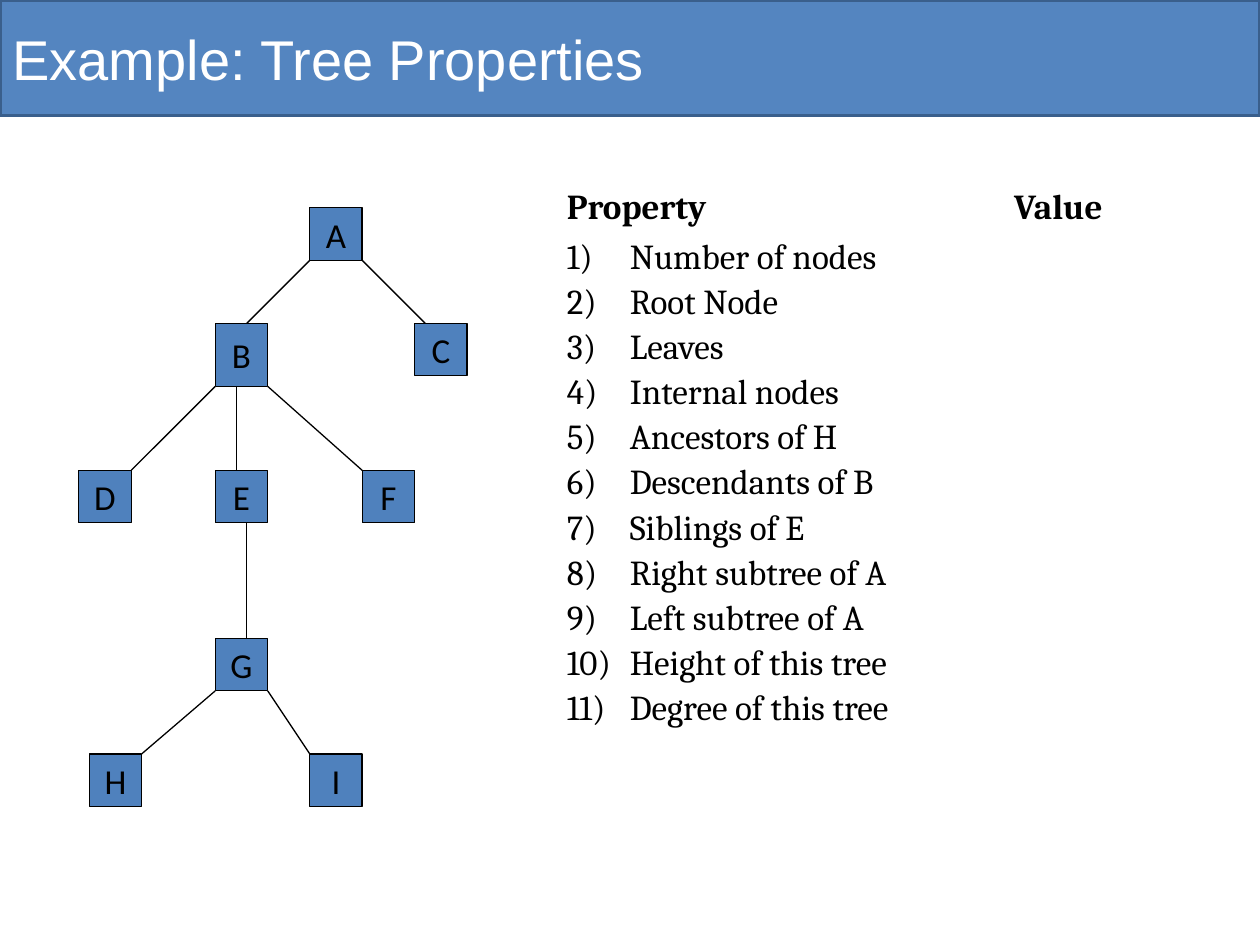
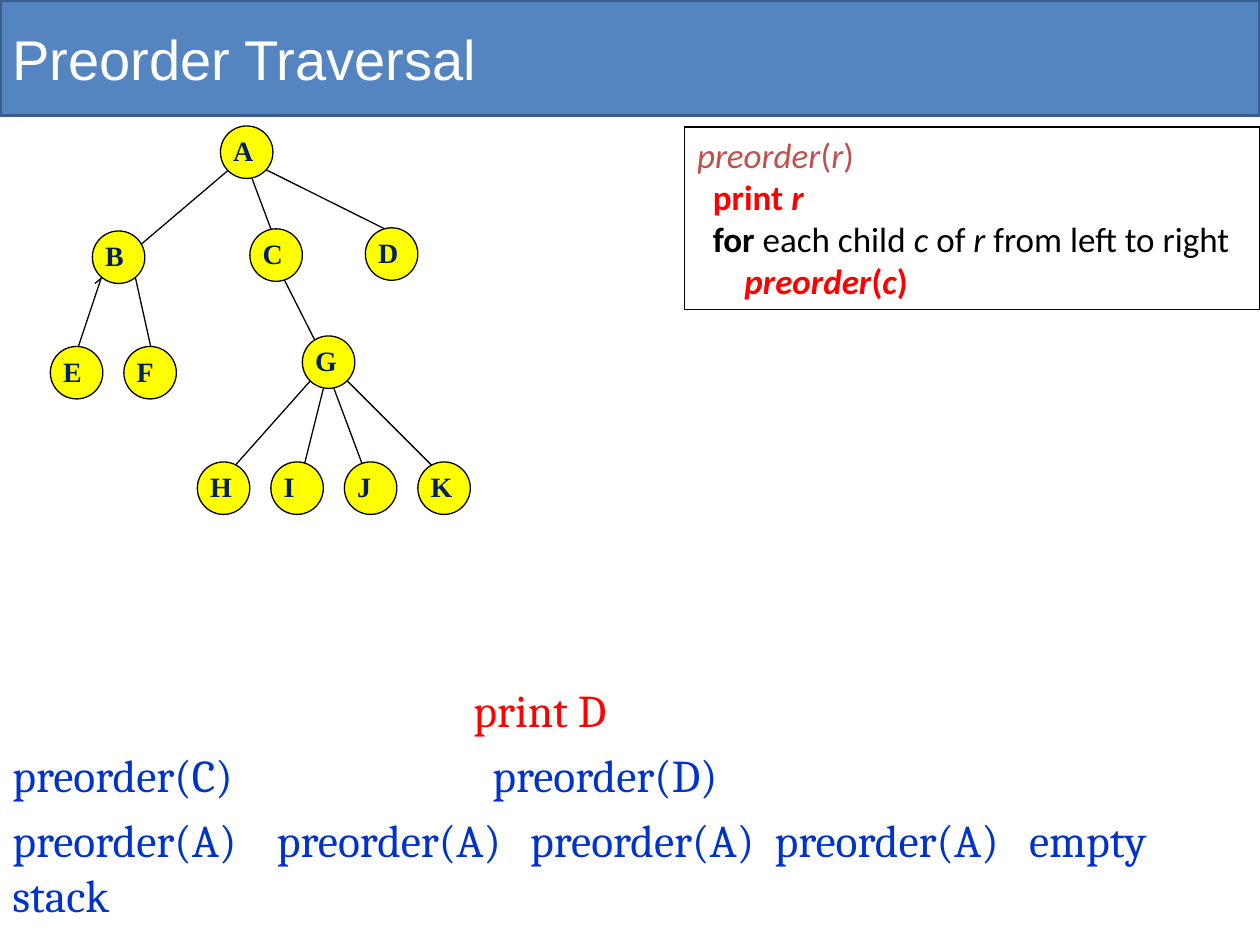
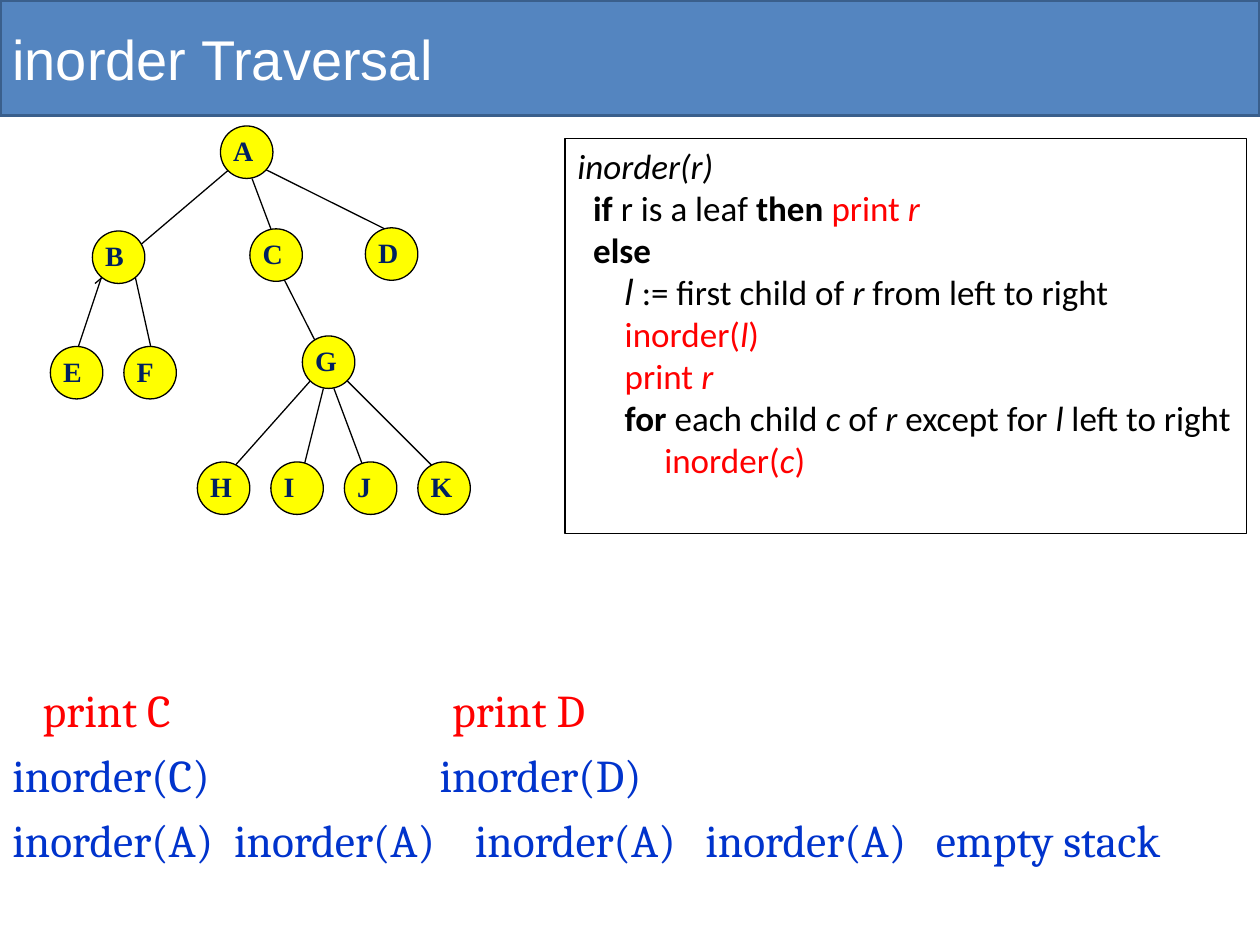
import pptx
import pptx.util
import pptx.dml.color
import pptx.enum.shapes
import pptx.enum.text
import pptx.oxml.ns
from lxml import etree

COLORS = {
    "band": "5485C0", "band edge": "3A5F8C", "white": "FFFFFF", "black": "000000",
    "square": "4F81BD", "circle": "FFFF00", "navy": "002060",
    "red": "FF0000", "brick": "C0504D", "blue": "0033CC",
}
CELL = pptx.util.Inches(1) // 12  # the slide is a grid of 120 by 90 cells
COLUMNS, ROWS = 120, 90
BAND_ROWS = 11
NODE = 5
SHAPE = pptx.enum.shapes.MSO_SHAPE
ANCHOR = pptx.enum.text.MSO_ANCHOR
ALIGN = pptx.enum.text.PP_ALIGN

# Node: column and row in the tree, then height where it differs from NODE.
PROPERTY_NODES = {
    "A": (22, 0), "B": (13, 11, 6), "C": (32, 11),
    "D": (0, 25), "E": (13, 25), "F": (27, 25),
    "G": (13, 41), "H": (1, 52), "I": (22, 52),
}
# Edge: parent, child, then the two ends as shares of each node's box.
PROPERTY_EDGES = [
    ("A", "C", (1, 1), (0.2, 0)), ("A", "B", (0, 1), (0.6, 0)),
    ("B", "E", (0.4, 1), (0.4, 0)), ("B", "D", (0, 1), (1, 0)),
    ("B", "F", (1, 1), (0, 0)), ("E", "G", (0.6, 1), (0.6, 0)),
    ("G", "I", (1, 1), (0, 0)), ("G", "H", (0, 1), (1, 0)),
]
TRAVERSAL_NODES = {
    "A": (16.2, 0), "B": (4, 10), "C": (19, 9.8), "D": (30, 9.7),
    "E": (0, 21), "F": (7, 21), "G": (24, 20),
    "H": (14, 32), "I": (21, 32), "J": (28, 32), "K": (35, 32),
}
TRAVERSAL_EDGES = [
    ("A", "B", (0.2, 0.8), (0.05, 1)), ("A", "C", (0.6, 1), (0.4, 0)),
    ("A", "D", (0.8, 0.8), (0.43, 0.05)), ("C", "G", (0.6, 0.86), (0.5, 0.6)),
    ("G", "H", (0.2, 0.8), (0.6, 0.2)), ("G", "I", (0.4, 1), (0.6, 0.2)),
    ("G", "J", (0.6, 1), (0.4, 0.2)), ("G", "K", (0.8, 0.8), (0.4, 0.2)),
    ("B", "E", (0.2, 0.8), (0.4, 0.4)), ("B", "F", (0.8, 0.8), (0.6, 0.4)),
]

PROPERTIES = [
    "Number of nodes", "Root Node", "Leaves", "Internal nodes", "Ancestors of H",
    "Descendants of B", "Siblings of E", "Right subtree of A", "Left subtree of A",
    "Height of this tree", "Degree of this tree",
]

# Code run: text, then its styles (bold, italic, a colour or a font).
PREORDER_CODE = [
    [("preorder", "italic brick"), ("(", "brick"), ("r", "italic brick"), (")", "brick")],
    [("  print ", "bold red"), ("r", "bold italic red")],
    [("  for", "bold"), (" each child ", ""), ("c", "italic"), (" of ", ""),
     ("r", "italic"), (" from left to right", "")],
    [("      preorder", "bold italic red"), ("(", "bold red"),
     ("c", "bold italic red"), (")", "bold red")],
]
INORDER_CODE = [
    [("inorder(r)", "italic")],
    [("  if", "bold"), (" r is a leaf ", ""), ("then ", "bold"),
     ("print ", "red"), ("r", "italic red")],
    [("  else", "bold")],
    [("      ", "italic"), ("l ", "italic Roboto"), (":= first child of ", ""),
     ("r", "italic"), (" from left to right", "")],
    [("      inorder(", "red"), ("l", "italic red"), (")", "red")],
    [("      print ", "red"), ("r", "italic red")],
    [("      for", "bold"), (" each child ", ""), ("c", "italic"), (" of ", ""),
     ("r", "italic"), (" except for ", ""), ("l", "italic"), (" left to right", "")],
    [("           inorder(", "red"), ("c", "italic red"), (")", "red")],
]

# Stack line: text, colour, tab stops in inches.
PREORDER_STACK = [
    ("\tprint D", "red", [3.66]),
    ("preorder(C)\tpreorder(D)", "blue", [3.81]),
    ("preorder(A)\tpreorder(A)\tpreorder(A)\tpreorder(A)\tempty stack", "blue",
     [2.1, 4.11, 6.05, 8.07]),
]
INORDER_STACK = [
    ("\tprint C\tprint D", "red", [0.24, 3.49]),
    ("inorder(C)\tinorder(D)", "blue", [3.39]),
    ("inorder(A)\tinorder(A)\tinorder(A)\tinorder(A)\tempty stack", "blue",
     [1.76, 3.67, 5.5, 7.33]),
]


def cells(*lengths):
    return [round(length * CELL) for length in lengths]


def rgb(name):
    return pptx.dml.color.RGBColor.from_string(COLORS[name])


def add_element(parent, tag, **attributes):
    return etree.SubElement(parent, pptx.oxml.ns.qn(tag), attributes)


def write(frame, text, *, size, font, color="black", bold=False, align=ALIGN.LEFT,
          before=0, spacing=None, tabs=(), numbered=False):
    """Add a paragraph to the frame; text is a string or a list of styled runs."""
    paragraph = frame.paragraphs[0]
    if paragraph.runs:
        paragraph = frame.add_paragraph()
    properties = paragraph._p.get_or_add_pPr()
    if numbered:
        indent = pptx.util.Inches(0.5)
        properties.set("marL", str(indent))
        properties.set("indent", str(-indent))
        add_element(properties, "a:buAutoNum", type="arabicParenR")
    if tabs:
        stops = add_element(properties, "a:tabLst")
        for stop in tabs:
            add_element(stops, "a:tab", pos=str(pptx.util.Inches(stop)), algn="l")
    paragraph.alignment = align
    paragraph.space_before = pptx.util.Pt(before)
    if spacing:
        paragraph.line_spacing = spacing
    for words, styles in [(text, "")] if isinstance(text, str) else text:
        run = paragraph.add_run()
        run.text = words
        run.font.size = pptx.util.Pt(size)
        run.font.name = font
        run.font.bold = bold
        run.font.color.rgb = rgb(color)
        for style in styles.split():
            if style in COLORS:
                run.font.color.rgb = rgb(style)
            elif style in ("bold", "italic"):
                setattr(run.font, style, True)
            else:
                run.font.name = style


def add_panel(slide, kind, box, fill=None, edge="black", edge_width=0.75):
    panel = slide.shapes.add_shape(kind, *cells(*box))
    panel.shadow.inherit = False
    if fill:
        panel.fill.solid()
        panel.fill.fore_color.rgb = rgb(fill)
    else:
        panel.fill.background()
    panel.line.color.rgb = rgb(edge)
    panel.line.width = pptx.util.Pt(edge_width)
    panel.text_frame.word_wrap = True
    panel.text_frame.vertical_anchor = ANCHOR.TOP
    return panel


def add_text_area(slide, box):
    frame = slide.shapes.add_textbox(*cells(*box)).text_frame
    frame.word_wrap = True
    return frame


def add_titled_slide(deck, title):
    slide = deck.slides.add_slide(deck.slide_layouts[6])
    band = add_panel(slide, SHAPE.RECTANGLE, (0, 0, COLUMNS, BAND_ROWS),
                     "band", "band edge", 2)
    band.text_frame.vertical_anchor = ANCHOR.MIDDLE
    write(band.text_frame, title, size=32, font="Arial", color="white")
    return slide


def add_tree(slide, left, top, nodes, edges, kind, fill, inset, anchor, **letter):
    """Draw the edges, then the nodes over them, from the tree's top left cell."""
    boxes = {name: (left + column, top + row, NODE, height[0] if height else NODE)
             for name, (column, row, *height) in nodes.items()}

    def point(name, share):
        x, y, width, height = boxes[name]
        return cells(x + share[0] * width, y + share[1] * height)

    for parent, child, start, end in edges:
        edge = slide.shapes.add_connector(
            pptx.enum.shapes.MSO_CONNECTOR.STRAIGHT,
            *point(parent, start), *point(child, end))
        edge.line.color.rgb = rgb("black")
        edge.line.width = pptx.util.Pt(0.75)
        add_element(edge._element.spPr, "a:effectLst")
    for name, box in boxes.items():
        frame = add_panel(slide, kind, box, fill).text_frame
        frame.margin_left = pptx.util.Inches(inset)
        frame.margin_right = frame.margin_top = frame.margin_bottom = 0
        frame.vertical_anchor = anchor
        write(frame, name, **letter)


def add_properties(slide, box):
    frame = add_text_area(slide, box)
    style = {"size": 20, "font": "Cambria"}
    write(frame, "Property\tValue", bold=True, tabs=[3.55], **style)
    for entry in PROPERTIES:
        write(frame, entry, numbered=True, spacing=0.6,
              before=12.8 if entry == PROPERTIES[0] else 11.4, **style)


def add_code(slide, box, lines):
    frame = add_panel(slide, SHAPE.RECTANGLE, box).text_frame
    for line in lines:
        write(frame, line, size=20, font="Calibri")


def add_stack(slide, box, lines):
    frame = add_text_area(slide, box)
    for row, (text, color, tabs) in enumerate(lines):
        write(frame, text, size=26, font="Cambria", color=color, tabs=tabs,
              before=6 if row else 0)


def build_properties_slide(deck):
    slide = add_titled_slide(deck, "Example: Tree Properties")
    add_tree(slide, 7.5, 19.8, PROPERTY_NODES, PROPERTY_EDGES, SHAPE.RECTANGLE,
             "square", 0, ANCHOR.MIDDLE, size=20, font="Calibri", align=ALIGN.CENTER)
    add_properties(slide, (52.8, 17, 64.2, 56.4))


def build_traversal_slide(deck, title, code_box, code, stack):
    slide = add_titled_slide(deck, title)
    add_stack(slide, (0, 64.4, COLUMNS, ROWS - 66), stack)
    add_tree(slide, 4.8, 12, TRAVERSAL_NODES, TRAVERSAL_EDGES, SHAPE.OVAL,
             "circle", 0.04, ANCHOR.TOP, size=16, font="Times New Roman",
             color="navy", bold=True)
    add_code(slide, code_box, code)


def main():
    deck = pptx.Presentation()
    deck.slide_width, deck.slide_height = cells(COLUMNS, ROWS)
    build_properties_slide(deck)
    build_traversal_slide(deck, "Preorder Traversal", (65.2, 12.1, 54.8, 17.4),
                          PREORDER_CODE, PREORDER_STACK)
    build_traversal_slide(deck, "inorder Traversal", (53.8, 13.2, 64.9, 37.6),
                          INORDER_CODE, INORDER_STACK)
    deck.save("out.pptx")


if __name__ == "__main__":
    main()
